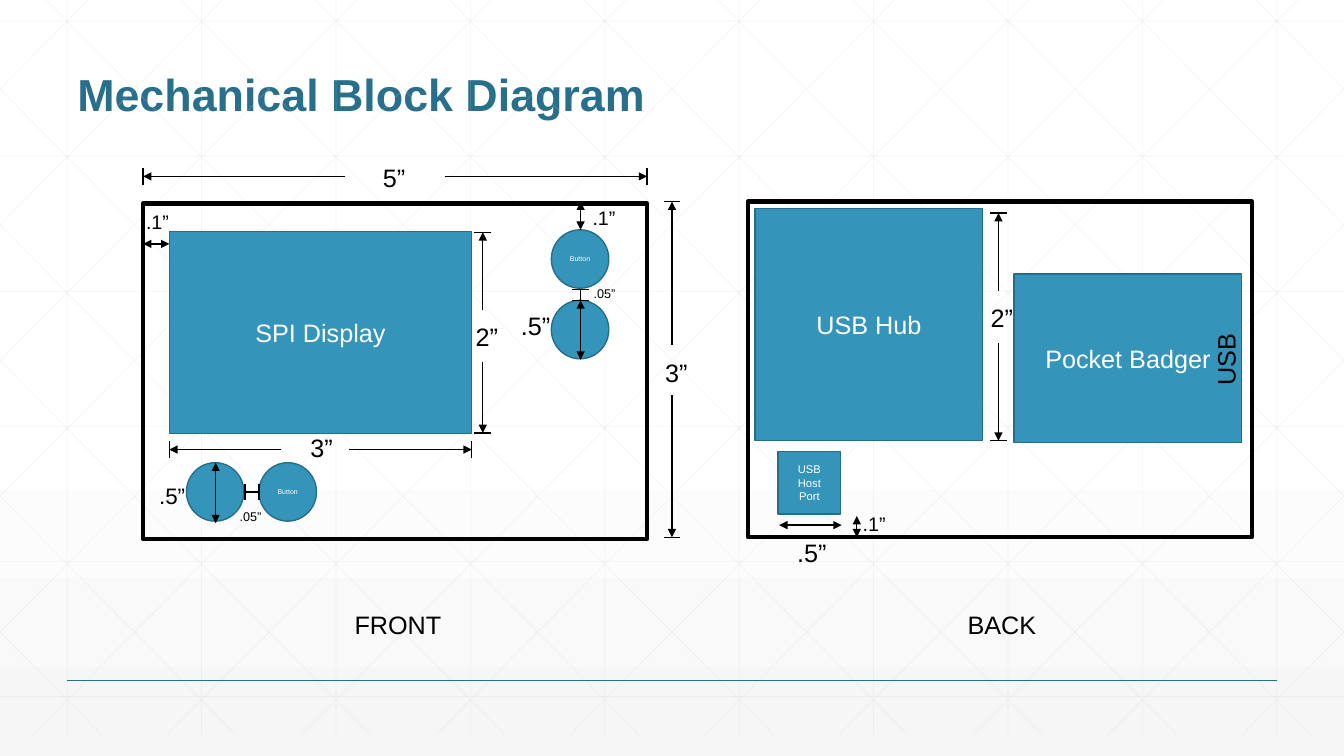
"""Build the mechanical block diagram slide with front and back board views."""
from dataclasses import dataclass

from lxml import etree
from pptx import Presentation
from pptx.dml.color import RGBColor
from pptx.enum.shapes import MSO_CONNECTOR, MSO_SHAPE
from pptx.enum.text import MSO_ANCHOR, MSO_AUTO_SIZE, PP_ALIGN
from pptx.oxml.ns import qn
from pptx.slide import Slide
from pptx.text.text import TextFrame
from pptx.util import Pt

RECT, CIRCLE = MSO_SHAPE.RECTANGLE, MSO_SHAPE.OVAL
STRAIGHT = MSO_CONNECTOR.STRAIGHT
BOTTOM, MIDDLE = MSO_ANCHOR.BOTTOM, MSO_ANCHOR.MIDDLE
LEFT, CENTER = PP_ALIGN.LEFT, PP_ALIGN.CENTER
NO_FIT = MSO_AUTO_SIZE.NONE

BLACK = RGBColor(0x00, 0x00, 0x00)
WHITE = RGBColor(0xFF, 0xFF, 0xFF)
PALE_GREY = RGBColor(0xF6, 0xF6, 0xF6)
GRID_GREY = RGBColor(0xD9, 0xD9, 0xD9)
TEAL = RGBColor(0x27, 0x6F, 0x8B)
BLOCK_BLUE = RGBColor(0x34, 0x94, 0xBA)
BLOCK_EDGE = RGBColor(0x26, 0x6D, 0x8A)

FONT = "Arial"
WIDTH, HEIGHT = 960, 540
GRID_BOTTOM, GRID_STEP = 525, 96
DIAGONAL_RUN = 0.99
TICK = 6


@dataclass(frozen=True)
class Block:
    """A part mounted on the board."""
    left: float
    top: float
    width: float
    height: float
    text: str = ""
    size: int = 18
    kind: MSO_SHAPE = RECT


@dataclass(frozen=True)
class Dimension:
    """Two outward arrows on one axis, with optional end ticks."""
    vertical: bool
    cross: float
    start: float
    start_stop: float
    end: float
    end_stop: float
    ticked: bool = False


@dataclass(frozen=True)
class Clearance:
    """A narrow spacing drawn as a plain line between two ticks."""
    vertical: bool
    cross: float
    start: float
    end: float


@dataclass(frozen=True)
class Label:
    """A free text label."""
    left: float
    top: float
    width: float
    height: float
    text: str
    size: int = 18
    rotation: int = 0


BOARDS = [(102.24, 145.44), (534.24, 144)]
BOARD_WIDTH, BOARD_HEIGHT = 360, 239.76

BLOCKS = [
    Block(120.96, 165.6, 216, 144, "SPI Display"),
    Block(724.32, 195.84, 162.72, 120.24, "Pocket Badger"),
    Block(539.28, 149.04, 162.72, 165.6, "USB Hub"),
    Block(555.84, 322.56, 44.64, 44.64, "USB Host Port", 8),
    Block(393.84, 164.16, 41.04, 41.76, "Button", 5, CIRCLE),
    Block(393.84, 214.56, 41.04, 41.76, kind=CIRCLE),
    Block(133.2, 330.48, 41.04, 41.76, kind=CIRCLE),
    Block(185.04, 330.48, 41.04, 41.76, "Button", 5, CIRCLE),
]

DIMENSIONS = [
    Dimension(False, 126, 102.24, 246.24, 462.24, 318.24, True),
    Dimension(True, 480, 144, 246.24, 383.76, 282.24, True),
    Dimension(True, 344.88, 165.96, 221.76, 309.24, 258.48, True),
    Dimension(False, 321.12, 120.96, 200.88, 336.96, 249.12, True),
    Dimension(True, 713.2, 152.2, 208.08, 314.8, 244.8, True),
    Dimension(True, 414.72, 214.56, 240.48, 257.04, 233.28),
    Dimension(True, 154.08, 330.48, 357.12, 373.68, 349.92),
    Dimension(False, 375.12, 556.56, 582.48, 601.2, 576),
    Dimension(True, 414.72, 144, 164.16, 164.16, 144.72),
    Dimension(True, 612, 368.64, 380.16, 383.76, 375.12),
    Dimension(False, 174.24, 102.24, 113.04, 120.96, 105.12),
]

CLEARANCES = [
    Clearance(True, 414.72, 206.64, 214.56),
    Clearance(False, 351.5, 174.96, 185.04),
]

LABELS = [
    Label(266.4, 112.32, 30.96, 28.8, "5”"),
    Label(468, 252, 30.96, 28.8, "3”"),
    Label(246.24, 432, 77.04, 28.8, "FRONT"),
    Label(684, 432, 64.08, 28.8, "BACK"),
    Label(849.6, 241.92, 51.84, 28.8, "USB", rotation=270),
    Label(214.56, 305.28, 46.08, 28.8, "3”"),
    Label(332.64, 226.08, 30.96, 28.8, "2”"),
    Label(700.56, 212.4, 30.96, 28.8, "2”"),
    Label(365.04, 218.16, 39.6, 28.8, ".5”"),
    Label(106.56, 340.56, 39.6, 26.64, ".5”", 16),
    Label(562.32, 380.16, 39.6, 28.8, ".5”"),
    Label(416.16, 143.28, 39.6, 24.48, ".1”", 14),
    Label(609.12, 362.16, 39.6, 24.48, ".1”", 14),
    Label(97.2, 146.16, 39.6, 24.48, ".1”", 14),
    Label(416.88, 200.88, 39.6, 18, ".05”", 9),
    Label(164.16, 360, 39.6, 18, ".05”", 9),
]


def write(frame: TextFrame, text: str, size: int, color: RGBColor,
          align: PP_ALIGN = LEFT, bold: bool = False) -> None:
    """Put one formatted paragraph into a text frame."""
    frame.text = text
    paragraph = frame.paragraphs[0]
    paragraph.alignment = align
    for run in paragraph.runs:
        run.font.name, run.font.size, run.font.bold = FONT, Pt(size), bold
        run.font.color.rgb = color


def draw_line(slide: Slide, x1: float, y1: float, x2: float, y2: float,
              color: RGBColor = BLACK, weight: float = 1,
              arrow: bool = False, opacity: int = 100) -> None:
    """Draw a straight line, with an optional arrowhead at its start."""
    line = slide.shapes.add_connector(STRAIGHT, Pt(x1), Pt(y1), Pt(x2), Pt(y2))
    line.line.color.rgb = color
    line.line.width = Pt(weight)
    properties = line.element.spPr
    if opacity < 100:
        tint = properties.find(".//" + qn("a:srgbClr"))
        etree.SubElement(tint, qn("a:alpha"), val=str(opacity * 1000))
    if arrow:
        etree.SubElement(properties.find(qn("a:ln")), qn("a:headEnd"), type="triangle")
    etree.SubElement(properties, qn("a:effectLst"))


def draw_on_axis(slide: Slide, vertical: bool, cross: float,
                 start: float, end: float, arrow: bool = False) -> None:
    """Draw a line along one axis at a fixed position on the other."""
    ends = (cross, start, cross, end) if vertical else (start, cross, end, cross)
    draw_line(slide, *ends, arrow=arrow)


def draw_ticks(slide: Slide, mark: Dimension | Clearance) -> None:
    """Draw the end ticks across a dimension or clearance."""
    for position in (mark.start, mark.end):
        draw_on_axis(slide, not mark.vertical, position, mark.cross - TICK, mark.cross + TICK)


def draw_backdrop(slide: Slide) -> None:
    """Draw the gradient, the faint lattice and the footer rule."""
    fill = slide.background.fill
    fill.gradient()
    fill.gradient_angle = 270
    for stop, position, color in zip(fill.gradient_stops, (0.53, 1), (WHITE, PALE_GREY)):
        stop.position, stop.color.rgb = position, color
    lattice = [(x, 0, x, GRID_BOTTOM) for x in range(48, WIDTH, GRID_STEP)]
    lattice += [(0, 15 + 96.5 * row, WIDTH, 15 + 96.5 * row) for row in range(6)]
    for column in range(-5, 10):
        origin = 33 + GRID_STEP * column
        top = max(0, -origin / DIAGONAL_RUN)
        bottom = min(GRID_BOTTOM, (WIDTH - origin) / DIAGONAL_RUN)
        x1, x2 = origin + DIAGONAL_RUN * top, origin + DIAGONAL_RUN * bottom
        lattice += [(x1, top, x2, bottom), (WIDTH - x1, top, WIDTH - x2, bottom)]
    for ends in lattice:
        draw_line(slide, *ends, color=GRID_GREY, weight=0.5, opacity=25)
    draw_line(slide, 48, 486, 912, 486, color=TEAL)


def draw_title(slide: Slide) -> None:
    """Place and format the slide title."""
    title = slide.shapes.title
    title.left, title.top, title.width, title.height = Pt(48), Pt(18), Pt(864), Pt(72)
    frame = title.text_frame
    frame.auto_size, frame.vertical_anchor = NO_FIT, BOTTOM
    write(frame, "Mechanical Block Diagram", 32, TEAL, bold=True)
    frame.paragraphs[0].line_spacing = 0.9


def draw_board(slide: Slide, left: float, top: float) -> None:
    """Draw the outline of one board face."""
    board = slide.shapes.add_shape(RECT, Pt(left), Pt(top), Pt(BOARD_WIDTH), Pt(BOARD_HEIGHT))
    board.shadow.inherit = False
    board.fill.background()
    board.line.color.rgb, board.line.width = BLACK, Pt(3)


def draw_block(slide: Slide, block: Block) -> None:
    """Draw one mounted part with its caption."""
    part = slide.shapes.add_shape(block.kind, Pt(block.left), Pt(block.top),
                                  Pt(block.width), Pt(block.height))
    part.shadow.inherit = False
    part.fill.solid()
    part.fill.fore_color.rgb = BLOCK_BLUE
    part.line.color.rgb, part.line.width = BLOCK_EDGE, Pt(1)
    if block.text:
        part.text_frame.vertical_anchor = MIDDLE
        part.text_frame.word_wrap = block.kind == RECT
        write(part.text_frame, block.text, block.size, WHITE, CENTER)


def draw_dimension(slide: Slide, mark: Dimension) -> None:
    """Draw both arrows of a dimension and its ticks."""
    for tip, stop in ((mark.start, mark.start_stop), (mark.end, mark.end_stop)):
        draw_on_axis(slide, mark.vertical, mark.cross, tip, stop, arrow=True)
    if mark.ticked:
        draw_ticks(slide, mark)


def draw_label(slide: Slide, label: Label) -> None:
    """Draw one label; measurements wrap inside their boxes."""
    caption = slide.shapes.add_textbox(Pt(label.left), Pt(label.top),
                                       Pt(label.width), Pt(label.height))
    caption.rotation = label.rotation
    caption.text_frame.word_wrap = "”" in label.text
    write(caption.text_frame, label.text, label.size, BLACK)


def main() -> None:
    """Assemble and save the slide."""
    deck = Presentation()
    deck.slide_width, deck.slide_height = Pt(WIDTH), Pt(HEIGHT)
    slide = deck.slides.add_slide(deck.slide_layouts[5])
    draw_backdrop(slide)
    draw_title(slide)
    for left, top in BOARDS:
        draw_board(slide, left, top)
    for block in BLOCKS:
        draw_block(slide, block)
    for dimension in DIMENSIONS:
        draw_dimension(slide, dimension)
    for clearance in CLEARANCES:
        draw_on_axis(slide, clearance.vertical, clearance.cross, clearance.start, clearance.end)
        draw_ticks(slide, clearance)
    for label in LABELS:
        draw_label(slide, label)
    deck.save("out.pptx")


if __name__ == "__main__":
    main()
